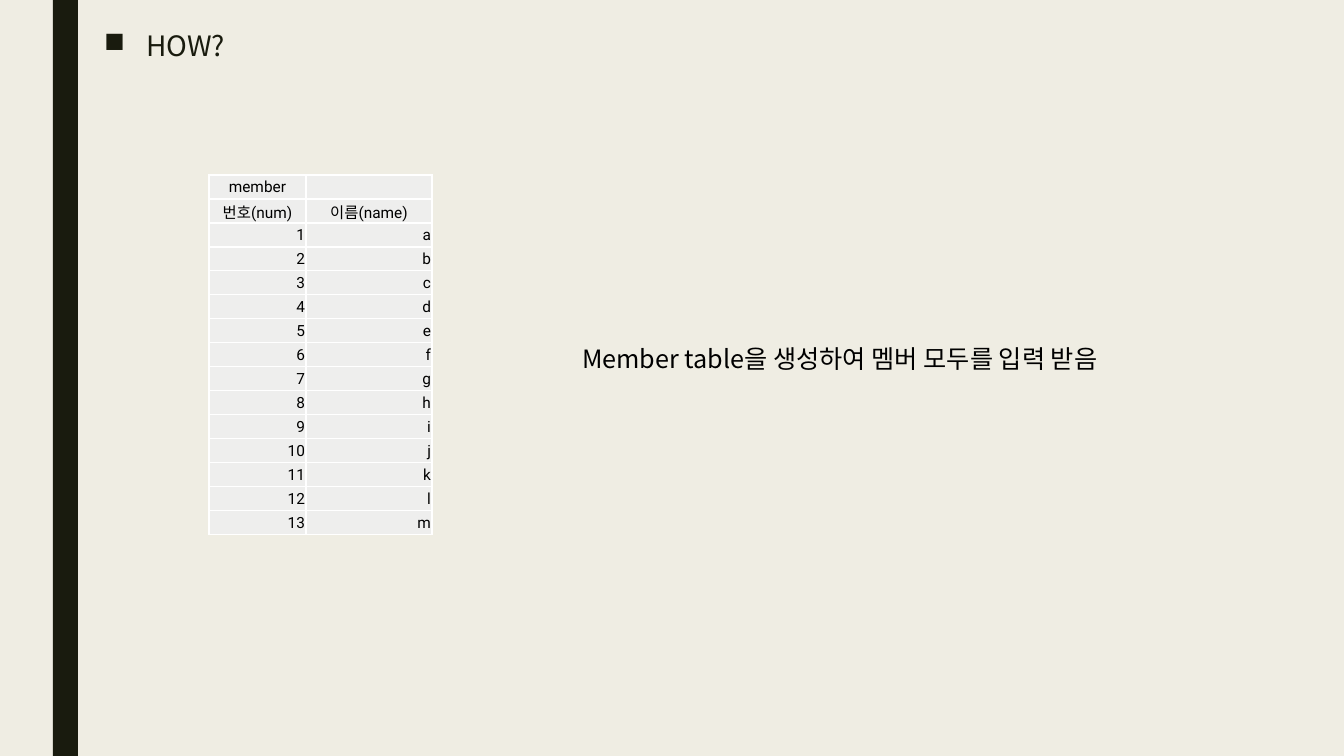
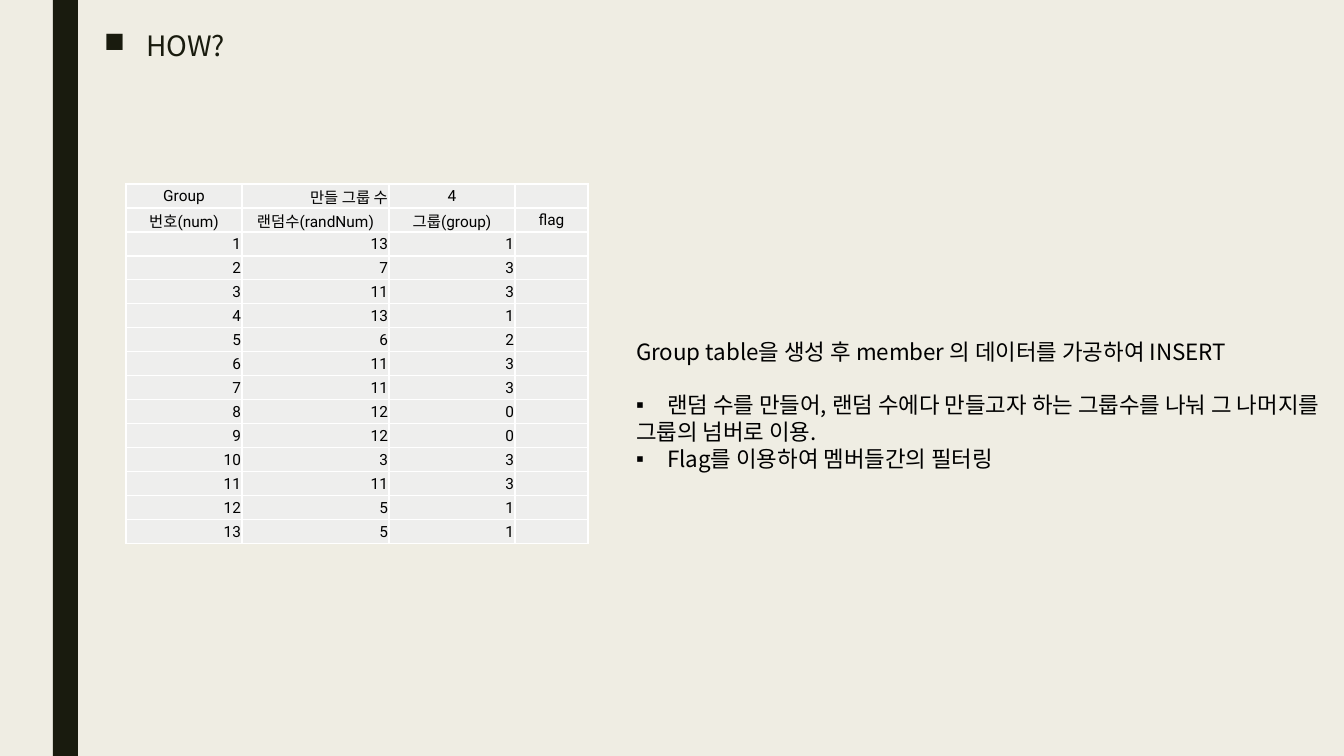
import pptx
import pptx.util
import pptx.dml.color
import pptx.enum.text
import pptx.enum.shapes
import pptx.oxml
import lxml.etree

# Shared scale, colours and fonts
PX = 914400 / 100.8
INK, PAPER, CELL, BLACK, WHITE = "191B0E", "EFEDE3", "EEEEED", "000000", "FFFFFF"
SANS, GRID = "Noto Sans CJK KR", "Roboto"
NS = 'xmlns:a="http://schemas.openxmlformats.org/drawingml/2006/main"'
ALIGN = pptx.enum.text.PP_ALIGN
ANCHOR = pptx.enum.text.MSO_ANCHOR


def paint(target, tone):
    if hasattr(target, "solid"):
        target.solid()
        target = target.fore_color
    target.rgb = pptx.dml.color.RGBColor.from_string(tone)


def style(para, size, face, tone, mark=None, indent=0):
    props = para._p.get_or_add_pPr()
    props.set("marL", str(round(indent * PX)))
    props.set("indent", str(round(-indent * PX)))
    bullet = f'<a:buChar {NS} char="{mark}"/>' if mark else f"<a:buNone {NS}/>"
    props.append(pptx.oxml.parse_xml(bullet))
    para.space_before = para.space_after = pptx.util.Pt(0)
    para.font.size = pptx.util.Pt(size)
    para.font.name = face
    paint(para.font.fill, tone)
    # East Asian face for the Korean text
    props.find("{*}defRPr").append(
        pptx.oxml.parse_xml(f'<a:ea {NS} typeface="{SANS}"/>'))


deck = pptx.Presentation()
deck.slide_width, deck.slide_height = round(1344 * PX), round(756 * PX)
paint(deck.slide_master.background.fill, PAPER)
layout = deck.slide_layouts[1]

# What differs from slide to slide
nums = range(1, 14)
rands = [13, 7, 11, 13, 6, 11, 11, 12, 12, 3, 11, 5, 5]
teams = [1, 3, 3, 1, 2, 3, 3, 0, 0, 3, 3, 1, 1]
pages = [
    {"grid": (209, 175), "cols": [97, 126],
     "rows": [["member", ""], ["번호(num)", "이름(name)"], *zip(nums, "abcdefghijklm")],
     "box": (572, 338, 605, 40), "size": 18,
     "lines": [("Member table을 생성하여 멤버 모두를 입력 받음", None, 0)]},
    {"grid": (126, 184), "cols": [116, 147, 126, 73],
     "rows": [["Group", "만들 그룹 수", 4, ""],
              ["번호(num)", "랜덤수(randNum)", "그룹(group)", "flag"],
              *[(num, rand, team, "") for num, rand, team in zip(nums, rands, teams)]],
     "box": (626, 333, 718, 173), "size": 16,
     "lines": [("Group table을 생성 후 member 의 데이터를 가공하여 INSERT", None, 0),
               ("랜덤 수를 만들어, 랜덤 수에다 만들고자 하는 그룹수를 나눠 그 나머지를", "▪", 19),
               ("그룹의 넘버로 이용.", None, 0),
               ("Flag를 이용하여 멤버들간의 필터링", "▪", 0)]},
]

for page in pages:
    slide = deck.slides.add_slide(layout)
    title, body = slide.placeholders

    # Dark band, drawn once and kept on the master
    if page is pages[0]:
        band = slide.shapes.add_shape(pptx.enum.shapes.MSO_SHAPE.RECTANGLE,
                                      *[round(n * PX) for n in (53, 0, 25, 756)])
        band.shadow.inherit = False
        band.line.fill.background()
        paint(band.fill, INK)
        deck.slide_master.element.cSld.spTree.insert(2, band.element)

    # Title and body frames
    for holder, box in ((title, (94, 26, 753, 120)), (body, page["box"])):
        holder.left, holder.top, holder.width, holder.height = [round(n * PX) for n in box]
        frame = holder.text_frame
        frame.word_wrap = True
        frame.auto_size = pptx.enum.text.MSO_AUTO_SIZE.NONE
        frame.vertical_anchor = ANCHOR.TOP
    body.text_frame.margin_right = 0

    # Title
    title.text_frame.text = "HOW?"
    head = title.text_frame.paragraphs[0]
    style(head, 20, SANS, INK, "■", 42)
    head.alignment = ALIGN.LEFT
    head.line_spacing = 0.94

    # Explanation
    body.text_frame.text = "\n".join(line[0] for line in page["lines"])
    for para, (_, mark, gap) in zip(body.text_frame.paragraphs, page["lines"]):
        style(para, page["size"], SANS, BLACK, mark, 31 if mark else 0)
        para.space_before = pptx.util.Pt(gap)

    # Table
    rows, cols = page["rows"], page["cols"]
    left, top = page["grid"]
    table = slide.shapes.add_table(
        len(rows), len(cols), round(left * PX), round(top * PX),
        round(sum(cols) * PX), round(24 * len(rows) * PX)).table
    table.first_row = table.horz_banding = False
    for col, width in zip(table.columns, cols):
        col.width = round(width * PX)
    for r, row in enumerate(rows):
        table.rows[r].height = round(24 * PX)
        for c, value in enumerate(row):
            cell = table.cell(r, c)
            cell.text = str(value)
            cell.vertical_anchor = ANCHOR.MIDDLE
            cell.margin_left = cell.margin_right = cell.margin_top = round(PX)
            cell.margin_bottom = 0
            paint(cell.fill, CELL)
            para = cell.text_frame.paragraphs[0]
            style(para, 11, GRID, BLACK)
            # Headings are centred, save the label before the group count
            label = r < 2 and (r, c) != (0, 1)
            para.alignment = ALIGN.CENTER if label else ALIGN.RIGHT
            if value == "":
                para._p.append(pptx.oxml.parse_xml(f'<a:endParaRPr {NS} sz="1100"/>'))
            for i, side in enumerate("LRTB"):
                cell._tc.tcPr.insert(i, pptx.oxml.parse_xml(
                    f'<a:ln{side} {NS} w="12700"><a:solidFill>'
                    f'<a:srgbClr val="{WHITE}"/></a:solidFill></a:ln{side}>'))

deck.save("out.pptx")
